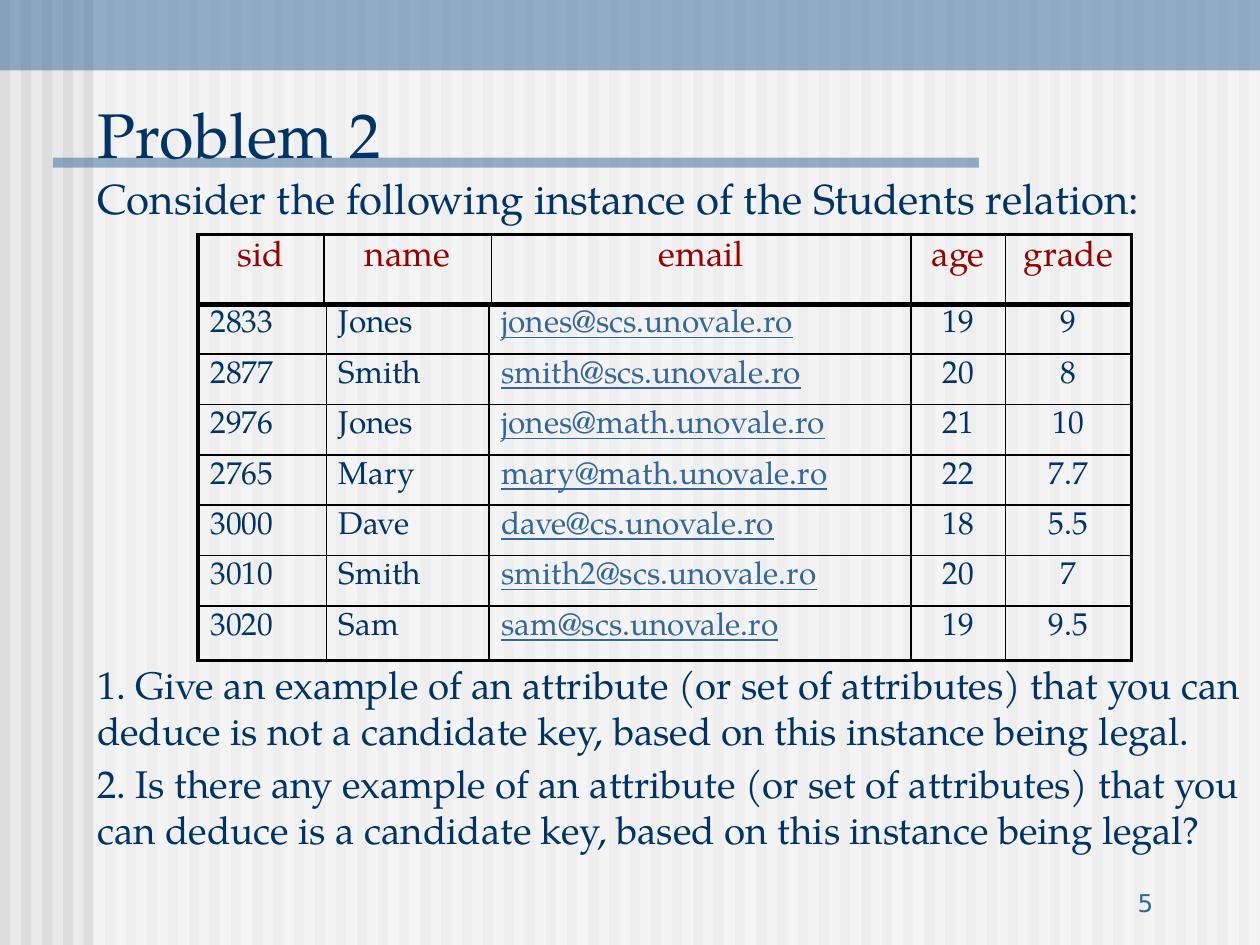
"""Build the Problem 2 slide about keys of the Students relation."""
from lxml import etree
from pptx import Presentation
from pptx import util as u
from pptx.dml.color import RGBColor
from pptx.enum import shapes, text
from pptx.oxml.ns import qn

SERIF, SANS = "TeX Gyre Pagella", "DejaVu Sans"
NAVY, BLUE, RED, GREY = "003366", "336699", "9A0000", "DDDDDD"
LEFT, MID, RIGHT = text.PP_ALIGN.LEFT, text.PP_ALIGN.CENTER, text.PP_ALIGN.RIGHT
THICK, THIN = 2.25, 1

TITLE = "Problem 2"
BODY = [
    ("Consider the following instance of the Students relation:", 24, 0),
    ("1. Give an example of an attribute (or set of attributes) that you can "
     "deduce is not a candidate key, based on this instance being legal.", 22, 250),
    ("2. Is there any example of an attribute (or set of attributes) that you "
     "can deduce is a candidate key, based on this instance being legal?", 22, 4),
]
HEAD = [("sid", "name", "email", "age", "grade")]
ROWS = [
    ("2833", "Jones", "jones@scs.unovale.ro", "19", "9"),
    ("2877", "Smith", "smith@scs.unovale.ro", "20", "8"),
    ("2976", "Jones", "jones@math.unovale.ro", "21", "10"),
    ("2765", "Mary", "mary@math.unovale.ro", "22", "7.7"),
    ("3000", "Dave", "dave@cs.unovale.ro", "18", "5.5"),
    ("3010", "Smith", "smith2@scs.unovale.ro", "20", "7"),
    ("3020", "Sam", "sam@scs.unovale.ro", "19", "9.5"),
]
HEAD_STYLE = [(MID, RED, False)] * 5
ROW_STYLE = [(LEFT, NAVY, False)] * 2 + [(LEFT, BLUE, True)] + [(MID, NAVY, False)] * 2


def paint(target, color):
    target.rgb = RGBColor.from_string(color)


def style(par, size, color, align=LEFT, face=SERIF):
    par.alignment = align
    par.font.size, par.font.name = u.Pt(size), face
    paint(par.font.color, color)


def place(shape, *box):
    shape.left, shape.top, shape.width, shape.height = map(u.Inches, box)


def add_band(group, box, color, alpha=100):
    band = group.shapes.add_shape(shapes.MSO_SHAPE.RECTANGLE, *map(u.Inches, box))
    band.shadow.inherit = False
    band.line.fill.background()
    band.fill.solid()
    paint(band.fill.fore_color, color)
    if alpha < 100:
        tint = band.fill._xPr.find(".//" + qn("a:srgbClr"))
        etree.SubElement(tint, qn("a:alpha"), val=str(alpha * 1000))


def add_decor(slide):
    group = slide.shapes.add_group_shape()
    for i in range(60):
        add_band(group, (i / 6, 0, 0.08, 7.5), GREY)
    add_band(group, (0.74, 0, 9.26, 7.5), "FFFFFF", 50)
    add_band(group, (0, 0, 10, 0.56), BLUE, 50)
    add_band(group, (0.42, 1.25, 7.35, 0.08), BLUE, 50)
    slide.shapes.element.insert(2, group.element)


def set_edges(cell, widths):
    props = cell._tc.get_or_add_tcPr()
    for i, (side, width) in enumerate(zip("LRTB", widths)):
        line = etree.Element(qn("a:ln" + side), w=str(u.Pt(width)))
        fill = etree.SubElement(line, qn("a:solidFill"))
        etree.SubElement(fill, qn("a:srgbClr"), val="000000")
        props.insert(i, line)


def add_grid(slide, top, rows, widths, heights, styles, size, inner):
    frame = slide.shapes.add_table(
        len(rows), len(widths), u.Inches(1.57), u.Inches(top),
        u.Inches(sum(widths)), u.Inches(sum(heights)))
    table = frame.table
    table.first_row = table.horz_banding = False
    for col, width in zip(table.columns, widths):
        col.width = u.Inches(width)
    for row, height in zip(table.rows, heights):
        row.height = u.Inches(height)
    for r, row in enumerate(rows):
        for c, (value, (align, color, under)) in enumerate(zip(row, styles)):
            cell = table.cell(r, c)
            cell.text = value
            cell.fill.background()
            par = cell.text_frame.paragraphs[0]
            style(par, size, color, align)
            par.font.underline = under
            outer = (c == 0, c == len(row) - 1, r == 0, r == len(rows) - 1)
            set_edges(cell, [THICK if edge else inner for edge in outer])


def add_body(shape):
    place(shape, 0.67, 1.32, 9.33, 5.5)
    frame = shape.text_frame
    frame.auto_size = text.MSO_AUTO_SIZE.NONE
    frame.text = "\n".join(words for words, _, _ in BODY)
    for par, (_, size, gap) in zip(frame.paragraphs, BODY):
        style(par, size, NAVY)
        par.space_before = u.Pt(gap)
        props = par._p.get_or_add_pPr()
        props.set("marL", "0")
        props.set("indent", "0")
        etree.SubElement(props, qn("a:buNone"))


def main():
    deck = Presentation()
    deck.slide_width, deck.slide_height = u.Inches(10), u.Inches(7.5)
    slide = deck.slides.add_slide(deck.slide_layouts[1])
    slide.background.fill.solid()
    paint(slide.background.fill.fore_color, "EAEAEA")
    add_decor(slide)

    title = slide.shapes.title
    place(title, 0.67, 0.58, 9.08, 0.83)
    title.text_frame.text = TITLE
    title.text_frame.auto_size = text.MSO_AUTO_SIZE.NONE
    title.text_frame.vertical_anchor = text.MSO_ANCHOR.BOTTOM
    style(title.text_frame.paragraphs[0], 36, NAVY)
    add_body(slide.placeholders[1])

    add_grid(slide, 1.86, HEAD, [1, 1.33, 3.33, 0.75, 1], [0.56], HEAD_STYLE, 20, THIN)
    add_grid(slide, 2.41, ROWS, [1.02, 1.29, 3.35, 0.75, 1],
             [0.4] * 6 + [0.43], ROW_STYLE, 18, THIN)

    page = slide.shapes.add_textbox(*map(u.Inches, (7.17, 6.83, 2.08, 0.5))).text_frame
    page.word_wrap = True
    page.vertical_anchor = text.MSO_ANCHOR.BOTTOM
    page.text = "5"
    style(page.paragraphs[0], 14, BLUE, RIGHT, SANS)
    deck.save("out.pptx")


if __name__ == "__main__":
    main()
